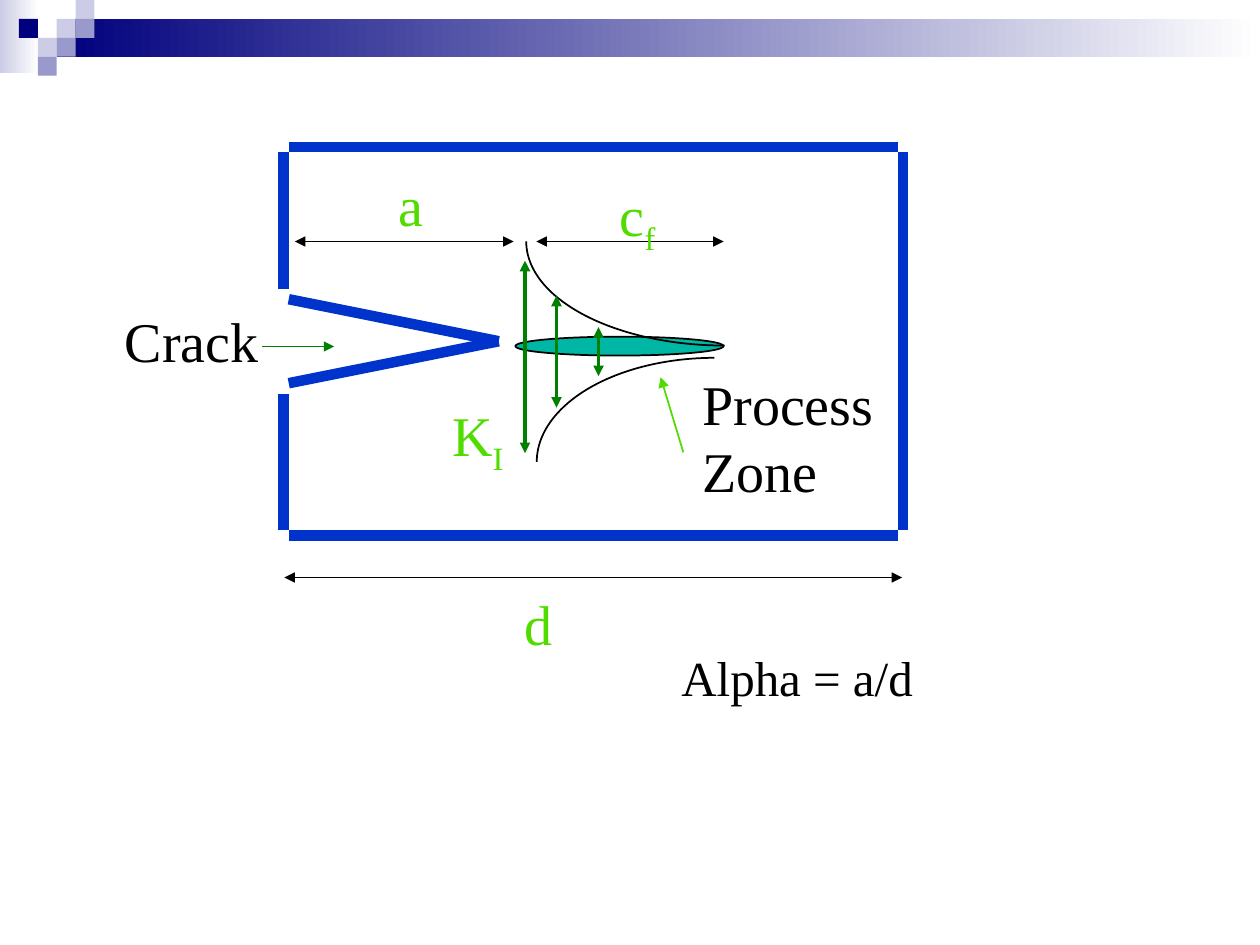
"""Build a slide showing a cracked specimen and its process zone."""
import dataclasses

import lxml.etree
import pptx
import pptx.dml.color
import pptx.enum.shapes
import pptx.enum.text
import pptx.oxml.ns
import pptx.util

Pt = pptx.util.Pt
Shape = pptx.enum.shapes.MSO_SHAPE


@dataclasses.dataclass(frozen=True)
class Theme:
    """Colours and type sizes of the slide."""

    white: str = "FFFFFF"
    black: str = "000000"
    navy: str = "00007D"
    lilac: str = "9999CC"
    pale: str = "CCCCE6"
    blue: str = "0033CC"
    teal: str = "00B7A5"
    green: str = "008000"
    lime: str = "51DC00"
    font: str = "Times New Roman"
    label: int = 32
    formula: int = 28
    thin: int = 1
    medium: int = 2
    thick: int = 6


THEME = Theme()


def rgb(value):
    """Return a colour from its hexadecimal text."""
    return pptx.dml.color.RGBColor.from_string(value)


def add_figure(page, kind, place, fill=None, outline=None):
    """Add a preset shape with an optional solid fill and thin outline."""
    figure = page.shapes.add_shape(kind, *map(Pt, place))
    figure.shadow.inherit = False
    if fill:
        figure.fill.solid()
        figure.fill.fore_color.rgb = rgb(fill)
    else:
        figure.fill.background()
    if outline:
        figure.line.color.rgb = rgb(outline)
        figure.line.width = Pt(THEME.thin)
    else:
        figure.line.fill.background()
    return figure


def add_gradient(page, place, start):
    """Add a rectangle that fades to white towards the right."""
    band = add_figure(page, Shape.RECTANGLE, place)
    band.fill.gradient()
    band.fill.gradient_angle = 0
    for stop, colour in zip(band.fill.gradient_stops, (start, THEME.white)):
        stop.color.rgb = rgb(colour)


def add_line(page, ends, colour, width, arrows=()):
    """Add a straight line with triangles at the named ends."""
    line = page.shapes.add_connector(
        pptx.enum.shapes.MSO_CONNECTOR.STRAIGHT, *map(Pt, ends))
    line.line.color.rgb = rgb(colour)
    line.line.width = Pt(width)
    qualified = pptx.oxml.ns.qn
    outline = line.line._get_or_add_ln()
    for end in arrows:
        lxml.etree.SubElement(outline, qualified(f"a:{end}"), type="triangle")
    lxml.etree.SubElement(line._element.spPr, qualified("a:effectLst"))


def add_arc(page, place, start, end):
    """Add an elliptical arc between two angles in degrees."""
    arc = add_figure(page, Shape.ARC, place, outline=THEME.black)
    for index, angle in enumerate((start, end)):
        arc.adjustments[index] = angle * 0.6


def add_label(page, text, place, colour, size=THEME.label, subscript=None):
    """Add a text label with an optional subscript."""
    box = page.shapes.add_textbox(*map(Pt, place))
    frame = box.text_frame
    frame.word_wrap = False
    frame.auto_size = pptx.enum.text.MSO_AUTO_SIZE.SHAPE_TO_FIT_TEXT
    frame.text = text
    if subscript:
        span = frame.paragraphs[0].add_run()
        span.text = subscript
        span._r.get_or_add_rPr().set("baseline", "-25000")
    for para in frame.paragraphs:
        for span in para.runs:
            span.font.name = THEME.font
            span.font.size = Pt(size)
            span.font.color.rgb = rgb(colour)


def add_banner(page):
    """Add the fading bands and the checker tiles at the top."""
    add_gradient(page, (0, 0, 22.3, 41.8), THEME.pale)
    add_gradient(page, (32.4, 10.8, 687.6, 21.6), THEME.navy)
    side = 10.8
    tiles = {
        THEME.pale: ((3, 1), (4, 0), (2, 2)),
        THEME.lilac: ((4, 1), (3, 2), (2, 3)),
        THEME.navy: ((1, 1),),
    }
    for colour, cells in tiles.items():
        for column, row in cells:
            place = (column * side, row * side, side, side)
            add_figure(page, Shape.RECTANGLE, place, colour)


def add_specimen(page):
    """Add the specimen outline with its notch."""
    left, top, right, bottom = 162, 84, 516, 306
    inset = 3
    mouth_top, mouth_bottom, tip = 165, 225, (285, 195)
    edges = [
        (left, top + inset, left, mouth_top),
        (left, mouth_bottom, left, bottom - inset),
        (left + inset, bottom, right - inset, bottom),
        (left + inset, top, right - inset, top),
        (right, top + inset, right, bottom - inset),
        (left + inset, mouth_top + 6, *tip),
        (left + inset, mouth_bottom - 6, *tip),
    ]
    for ends in edges:
        add_line(page, ends, THEME.blue, THEME.thick)


def add_process_zone(page):
    """Add the process zone, its stress curves and opening arrows."""
    add_figure(page, Shape.OVAL, (294.5, 192.4, 119, 10.8),
               THEME.teal, THEME.black)
    add_arc(page, (300.7, 78.5, 226.8, 119), 90, 180)
    add_arc(page, (306.7, 204.5, 203, 119), 180, 270)
    for x, top, bottom in ((300, 149, 259), (318, 169, 233), (342, 187, 215)):
        add_line(page, (x, top, x, bottom), THEME.green, THEME.medium,
                 ("headEnd", "tailEnd"))


def add_dimensions(page):
    """Add the horizontal dimension arrows."""
    for left, right, y in ((168.5, 293.5, 138), (306.5, 413.5, 138),
                           (162.5, 515.5, 330)):
        add_line(page, (left, y, right, y), THEME.black, THEME.thin,
                 ("headEnd", "tailEnd"))


def add_labels(page):
    """Add the labels and the pointers that belong to them."""
    add_label(page, "Crack", (64.3, 171.4, 91.4, 45.4), THEME.black)
    add_label(page, "d", (292.8, 333.5, 30.2, 45.4), THEME.lime)
    add_label(page, "a", (220.8, 93.8, 28.8, 45.4), THEME.lime)
    add_label(page, "c", (347, 99.4, 34.6, 50.4), THEME.lime, subscript="f")
    add_label(page, "K", (251.3, 225.4, 43.9, 50.4), THEME.lime, subscript="I")
    add_label(page, "Process\nZone", (394.3, 207.4, 120.2, 83.5), THEME.black)
    add_label(page, "Alpha = a/d", (382.3, 366.5, 146.9, 40.3), THEME.black,
              THEME.formula)
    add_line(page, (150, 198, 191, 198), THEME.green, THEME.thin, ("tailEnd",))
    add_line(page, (390.5, 258.5, 377.5, 215.5), THEME.lime, THEME.thin,
             ("tailEnd",))


def main():
    """Build and save the slide."""
    deck = pptx.Presentation()
    deck.slide_width, deck.slide_height = Pt(720), Pt(540)
    page = deck.slides.add_slide(deck.slide_layouts[6])
    add_banner(page)
    add_specimen(page)
    add_process_zone(page)
    add_dimensions(page)
    add_labels(page)
    deck.save("out.pptx")


if __name__ == "__main__":
    main()
